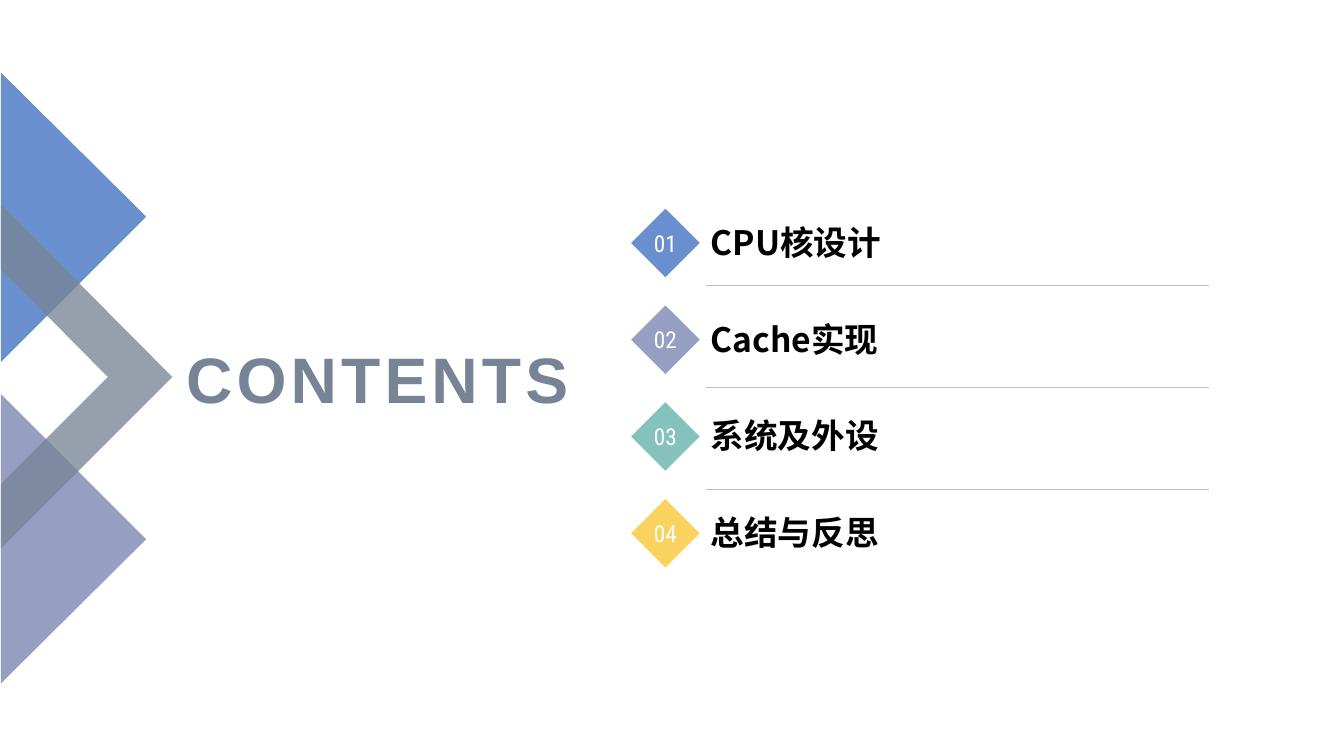
"""Build the contents slide with its arrow artwork and four numbered topics."""
from dataclasses import dataclass

from lxml.etree import SubElement
from pptx import Presentation
from pptx.dml.color import RGBColor
from pptx.enum.shapes import MSO_CONNECTOR, MSO_SHAPE
from pptx.enum.text import MSO_ANCHOR, MSO_AUTO_SIZE, PP_ALIGN
from pptx.oxml.ns import qn
from pptx.util import Inches, Pt

TITLE = "CONTENTS"
TOPICS = [
    ("CPU核设计", "698FCE"),
    ("Cache实现", "969EC2"),
    ("系统及外设", "85C2BC"),
    ("总结与反思", "FAD25F"),
]


@dataclass(frozen=True)
class Theme:
    """Colours, fonts and type sizes."""
    blue: str = "698FCE"
    mauve: str = "969EC2"
    slate: str = "778495"
    rule: str = "BFBFBF"
    black: str = "000000"
    white: str = "FFFFFF"
    head: str = "Arial"
    body: str = "Noto Sans CJK SC"
    digit: str = "Roboto Condensed"
    big: float = 45.9
    mid: float = 24
    small: float = 16.6


LOOK = Theme()
WIDE, HIGH = 13.33, 7.5
EDGE = 0.01
ARROWS = [
    ([(EDGE, 3.91), (1.45, 5.35), (EDGE, 6.78)], LOOK.mauve, 100),
    ([(EDGE, 0.72), (1.45, 2.15), (EDGE, 3.59)], LOOK.blue, 100),
    ([(1.71, 3.74), (EDGE, 5.44), (EDGE, 4.8), (1.07, 3.74),
      (EDGE, 2.67), (EDGE, 2.03)], LOOK.slate, 77),
]
HEADING = (1.65, 3.24, 4.09, 1.01)
LEFT, TOP, SIZE, STEP = 6.26, 2.07, 0.68, 0.96
LABEL = (6.95, 2.17, 4.44, 0.48)
RULE_TOP, RULE_STEP, RULE_ENDS = 2.83, 1.01, (7, 11.99)


def box(*sides):
    return [Inches(side) for side in sides]


def paint(shape, color, alpha=100):
    shape.shadow.inherit = False
    shape.fill.solid()
    shape.fill.fore_color.rgb = RGBColor.from_string(color)
    shape.line.fill.background()
    if alpha < 100:
        tint = shape.fill._xPr.find(".//" + qn("a:srgbClr"))
        SubElement(tint, qn("a:alpha")).set("val", str(alpha * 1000))


def write(shape, text, *, font, size, color, bold=False, wrap=True,
          align=PP_ALIGN.LEFT, anchor=MSO_ANCHOR.MIDDLE, space=0):
    frame = shape.text_frame
    frame.auto_size = MSO_AUTO_SIZE.NONE
    frame.word_wrap = wrap
    frame.vertical_anchor = anchor
    para = frame.paragraphs[0]
    para.alignment = align
    run = para.add_run()
    run.text = text
    run.font.name = font
    run.font.size = Pt(size)
    run.font.bold = bold
    run.font.color.rgb = RGBColor.from_string(color)
    props = run.font._element
    SubElement(props, qn("a:ea")).set("typeface", font)
    if space:
        props.set("spc", str(space * 100))


def draw_arrows(shapes):
    for points, color, alpha in ARROWS:
        start, *rest = [box(*point) for point in points]
        pen = shapes.build_freeform(*start)
        pen.add_line_segments(rest, close=True)
        paint(pen.convert_to_shape(), color, alpha)


def draw_title(shapes):
    title = shapes.title
    title.left, title.top, title.width, title.height = box(*HEADING)
    write(title, TITLE, font=LOOK.head, size=LOOK.big, color=LOOK.slate,
          bold=True, align=PP_ALIGN.RIGHT, space=3)


def draw_topics(shapes):
    x, y, width, height = LABEL
    for row, (name, color) in enumerate(TOPICS):
        drop = row * STEP
        gem = shapes.add_shape(MSO_SHAPE.DIAMOND, *box(LEFT, TOP + drop, SIZE, SIZE))
        paint(gem, color)
        write(gem, f"{row + 1:02}", font=LOOK.digit, size=LOOK.small,
              color=LOOK.white, wrap=False, align=PP_ALIGN.CENTER)
        label = shapes.add_textbox(*box(x, y + drop, width, height))
        write(label, name, font=LOOK.body, size=LOOK.mid, color=LOOK.black,
              bold=True, anchor=MSO_ANCHOR.BOTTOM)


def draw_rules(shapes):
    start, end = RULE_ENDS
    for row in range(len(TOPICS) - 1):
        y = RULE_TOP + row * RULE_STEP
        rule = shapes.add_connector(MSO_CONNECTOR.STRAIGHT, *box(start, y, end, y))
        rule.line.color.rgb = RGBColor.from_string(LOOK.rule)
        rule.line.width = Pt(0.25)
        SubElement(rule._element.spPr, qn("a:effectLst"))


def main():
    deck = Presentation()
    deck.slide_width, deck.slide_height = box(WIDE, HIGH)
    shapes = deck.slides.add_slide(deck.slide_layouts[5]).shapes
    draw_arrows(shapes)
    draw_title(shapes)
    draw_topics(shapes)
    draw_rules(shapes)
    deck.save("out.pptx")


if __name__ == "__main__":
    main()
